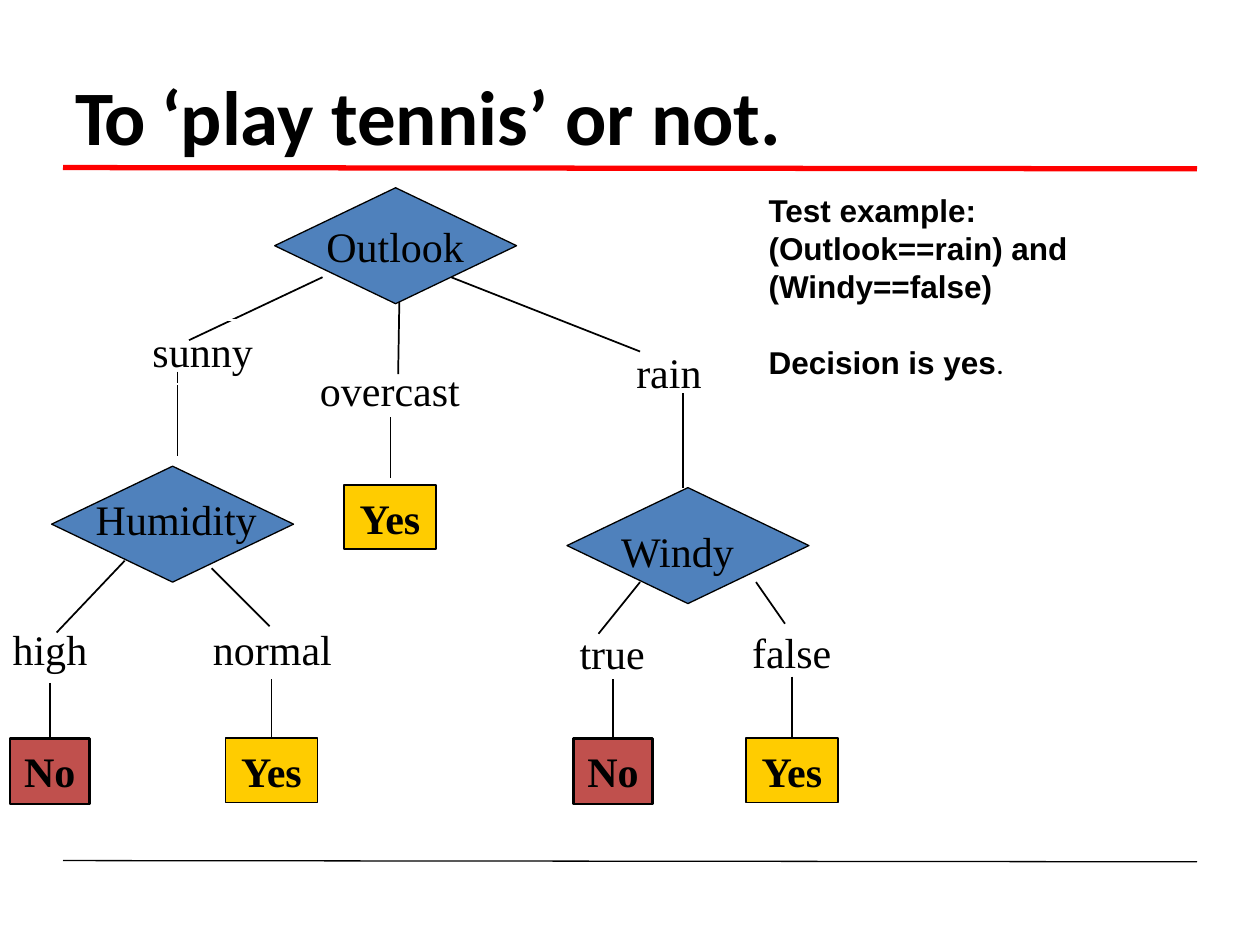
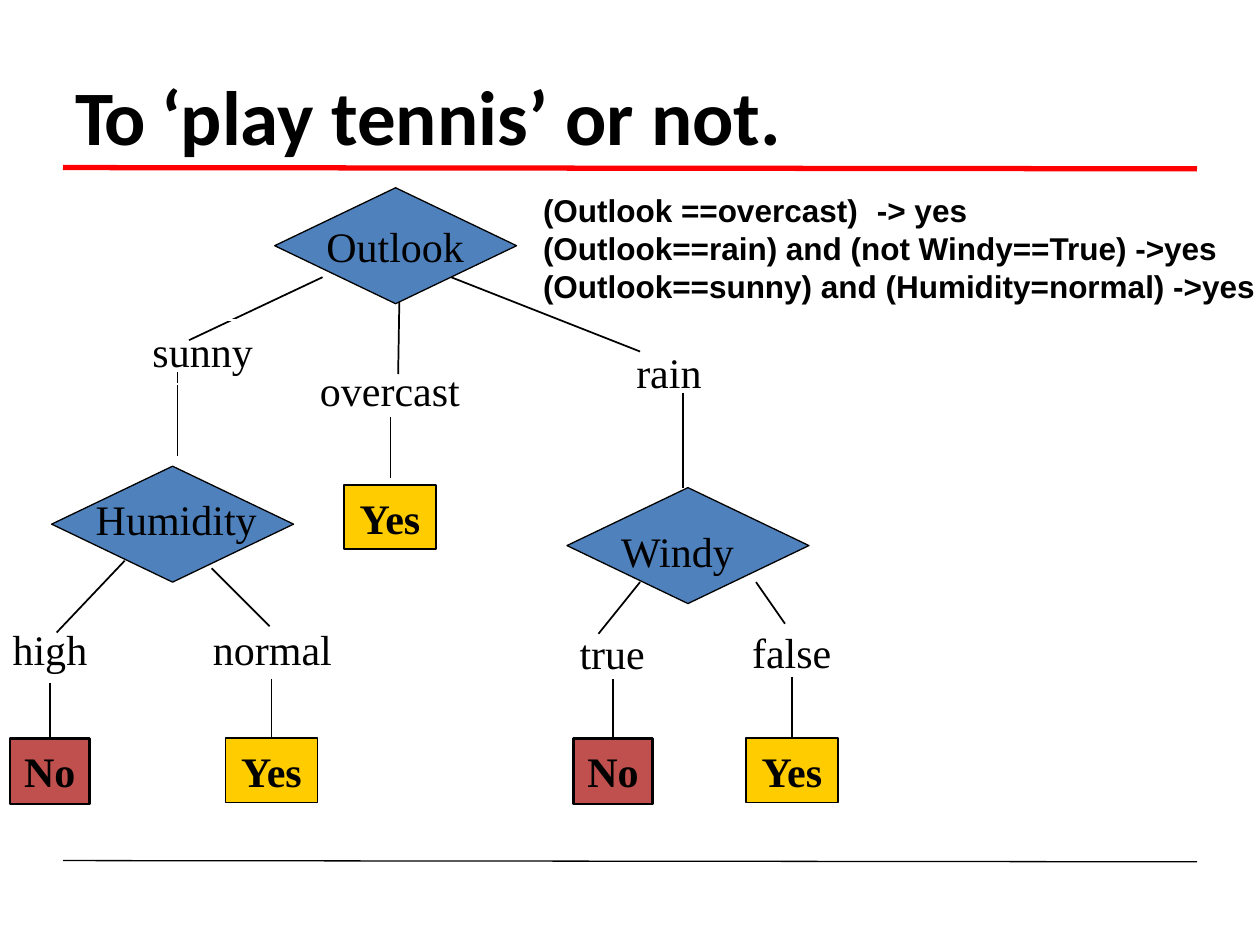
from lxml import etree
from pptx import Presentation
from pptx import util as u
from pptx.dml.color import RGBColor
from pptx.enum import shapes, text
from pptx.oxml import ns

COLORS = {"ink": "000000", "white": "FFFFFF", "rule": "FF0000",
          "test": "4F81BC", "No": "C0504D", "Yes": "FFCC00"}
SERIF, SANS, HEADING = "Times New Roman", "Arial", "Calibri"

# Content: shared title and decision tree
TITLE = [("To ", {"spacing": -1.4}), "‘play tennis’ or not."]
RULES = [(1.33, "rule", 3), (6.83, "ink", 0.75)]  # top, colour, weight
DIAMOND_SIZE = (1.92, 0.92)
TESTS = [(2.18, 1.49), (0.41, 3.7), (4.5, 3.87)]  # left, top
LABELS = [  # words, left, top, width
    ("Outlook", 2.58, 1.73, 1.12), ("Humidity", 0.75, 3.9, 1.3),
    ("Windy", 4.92, 4.15, 0.92),
    ("sunny", 1.2, 2.56, 0.82), ("overcast", 2.53, 2.87, 1.14),
    ("rain", 5.04, 2.73, 0.55),
    ("high", 0.09, 4.93, 0.62), ("normal", 1.68, 4.93, 0.97),
    ("true", 4.59, 4.96, 0.55), ("false", 5.96, 4.95, 0.66),
]
BRANCHES = [  # start x, start y, end x, end y
    (2.56, 2.2, 1.5, 2.7), (3.17, 2.37, 3.16, 2.97), (3.58, 2.2, 5.08, 2.79),
    (0.99, 4.45, 0.45, 5.02), (1.68, 4.51, 2.14, 4.97),
    (5.08, 4.62, 4.75, 5.03), (6, 4.62, 6.23, 4.95),
]
STEMS = [  # x, top, bottom, weight
    (1.41, 2.95, 3.62, 0.75), (3.1, 3.31, 3.79, 1), (5.42, 3.12, 3.87, 0.75),
]
LEAF_STYLE = {"No": (0.63, 0.52, 1.5), "Yes": (0.73, 0.51, 1)}  # width, height, line
LEAVES = [  # answer, left, top, top of the joined stem
    ("No", 0.08, 5.86, 5.42), ("Yes", 1.79, 5.86, 5.39),
    ("No", 4.55, 5.86, 5.39), ("Yes", 5.92, 5.86, 5.37),
    ("Yes", 2.73, 3.85, None),
]

# Content: notes of each slide
SLIDES = [
    [
        {"area": (6.09, 1.5, 2.4, 0.93),
         "lines": ["Test example: (Outlook==rain) and (Windy==false)"]},
        {"area": (6.09, 2.7, 1.9, 0.33),
         "lines": [["Decision is yes", (".", {"font": "Roboto", "bold": False})]]},
    ],
    [
        {"area": (4.3, 1.5, 5.68, 0.93), "tab": 2.65, "wrap": False,
         "lines": ["(Outlook ==overcast)\t-> yes",
                   "(Outlook==rain) and (not Windy==True) ->yes",
                   "(Outlook==sunny) and (Humidity=normal) ->yes"]},
    ],
]


def color(name):
    return RGBColor.from_string(COLORS[name])


def write(box, lines, size=24, font=SERIF, bold=False, align=text.PP_ALIGN.LEFT,
          anchor=text.MSO_ANCHOR.TOP, inset=(0.01, 0.02), wrap=True, tab=None):
    """Fill a shape; a line is a string or a list of strings and (string, format)."""
    frame = box.text_frame
    frame.auto_size = text.MSO_AUTO_SIZE.NONE
    frame.word_wrap = wrap
    frame.vertical_anchor = anchor
    frame.margin_left, frame.margin_top = map(u.Inches, inset)
    frame.margin_right = frame.margin_bottom = 0
    for index, line in enumerate(lines):
        para = frame.add_paragraph() if index else frame.paragraphs[0]
        para.alignment = align
        if tab:
            stops = etree.SubElement(para._p.get_or_add_pPr(), ns.qn("a:tabLst"))
            etree.SubElement(stops, ns.qn("a:tab"), pos=str(u.Inches(tab)), algn="l")
        for part in [line] if isinstance(line, str) else line:
            words, changes = (part, {}) if isinstance(part, str) else part
            span = para.add_run()
            span.text = words
            span.font.size = u.Pt(size)
            span.font.name = changes.get("font", font)
            span.font.bold = changes.get("bold", bold)
            span.font.color.rgb = color("ink")
            if "spacing" in changes:
                span._r.get_or_add_rPr().set("spc", str(round(changes["spacing"] * 100)))


def add_text(page, area, lines, **style):
    write(page.shapes.add_textbox(*map(u.Inches, area)), lines, **style)


def add_line(page, ends, weight=1, ink="ink"):
    line = page.shapes.add_connector(shapes.MSO_CONNECTOR.STRAIGHT, *map(u.Inches, ends))
    line.line.color.rgb = color(ink)
    line.line.width = u.Pt(weight)
    etree.SubElement(line._element.spPr, ns.qn("a:effectLst"))
    return line


def add_shape(page, kind, area, fill=None, ink="ink", weight=0.75):
    shape = page.shapes.add_shape(kind, *map(u.Inches, area))
    shape.shadow.inherit = False
    if fill:
        shape.fill.solid()
        shape.fill.fore_color.rgb = color(fill)
    else:
        shape.fill.background()
    shape.line.color.rgb = color(ink)
    shape.line.width = u.Pt(weight)
    return shape


def add_frame(page):
    """Title and the two horizontal rules."""
    for top, ink, weight in RULES:
        add_line(page, (0.5, top, 9.5, top + 0.01), weight, ink)
    title = page.shapes.title
    title.left, title.top, title.width, title.height = map(u.Inches, (0.52, 0.15, 7.39, 1.12))
    write(title, [TITLE], size=44, font=HEADING, bold=True, inset=(0.08, 0.39))


def add_tree(page):
    # Lines between tests and labels
    for ends in BRANCHES:
        add_line(page, ends)
    for x, top, bottom, weight in STEMS:
        add_line(page, (x, top, x, bottom), weight)
    add_shape(page, shapes.MSO_SHAPE.RECTANGLE, (1.11, 2.54, 1.01, 0.51),
              ink="white", weight=1)
    # Tests and labels
    for corner in TESTS:
        add_shape(page, shapes.MSO_SHAPE.DIAMOND, corner + DIAMOND_SIZE, "test")
    for words, left, top, width in LABELS:
        add_text(page, (left, top, width, 0.43), [words], wrap=False)
    # Answers with their stems
    for answer, left, top, stem_top in LEAVES:
        width, height, weight = LEAF_STYLE[answer]
        leaf = add_shape(page, shapes.MSO_SHAPE.RECTANGLE, (left, top, width, height),
                         answer, weight=weight)
        write(leaf, [answer], bold=True, align=text.PP_ALIGN.CENTER,
              anchor=text.MSO_ANCHOR.MIDDLE, inset=(0, 0))
        if stem_top:
            middle = left + width / 2
            add_line(page, (middle, stem_top, middle, top)).end_connect(leaf, 0)


def main():
    deck = Presentation()
    deck.slide_width, deck.slide_height = u.Inches(10), u.Inches(7.5)
    title_only = deck.slide_layouts[5]
    for notes in SLIDES:
        page = deck.slides.add_slide(title_only)
        add_frame(page)
        add_tree(page)
        for note in notes:
            add_text(page, note["area"], note["lines"], size=18, font=SANS, bold=True,
                     wrap=note.get("wrap", True), tab=note.get("tab"))
    deck.save("out.pptx")


if __name__ == "__main__":
    main()
